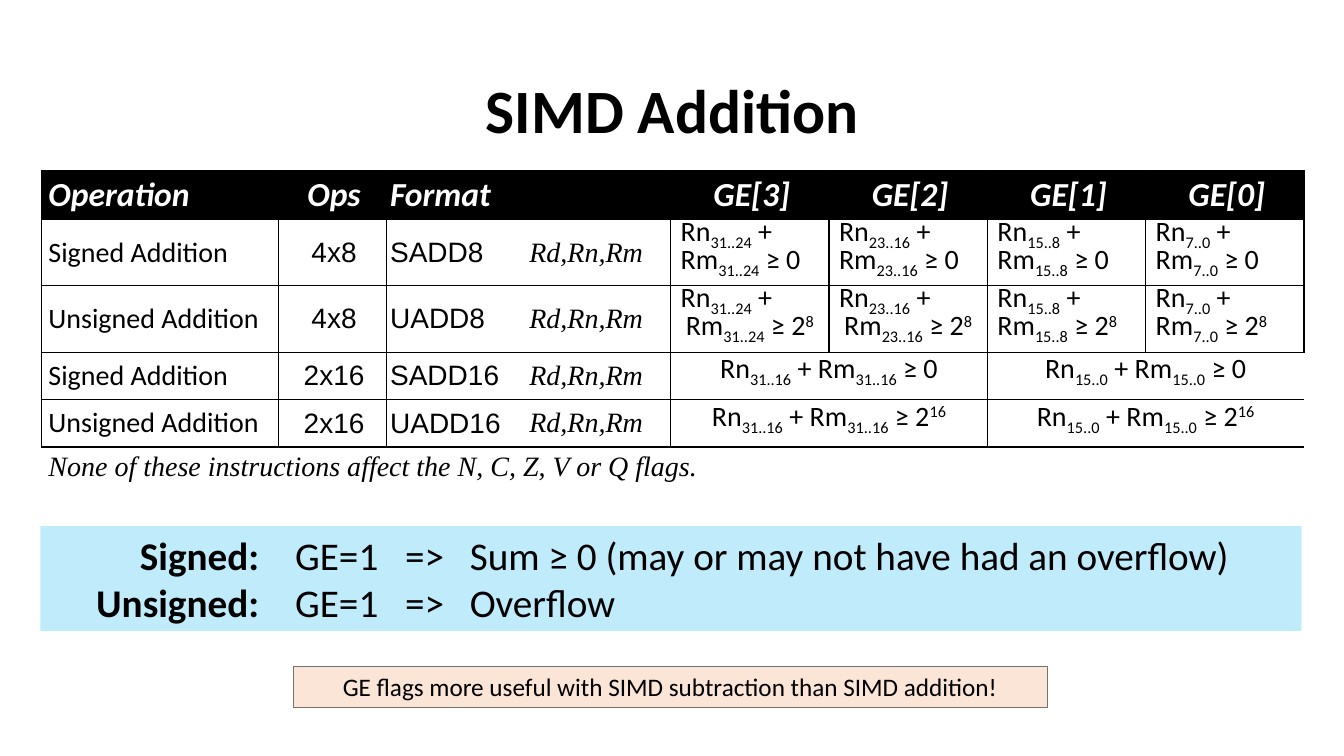
from dataclasses import dataclass

from lxml.etree import SubElement
from pptx import Presentation
from pptx.dml.color import RGBColor as RGB
from pptx.enum.shapes import MSO_SHAPE as SHAPE
from pptx.enum.text import MSO_ANCHOR as ANCHOR, PP_ALIGN as ALIGN
from pptx.oxml import parse_xml
from pptx.oxml.ns import nsdecls, qn
from pptx.util import Cm, Pt


@dataclass(frozen=True)
class Theme:
    black: RGB = RGB(0x00, 0x00, 0x00)
    white: RGB = RGB(0xFF, 0xFF, 0xFF)
    blue: RGB = RGB(0x00, 0xB0, 0xF0)
    peach: RGB = RGB(0xFB, 0xE5, 0xD6)
    grey: RGB = RGB(0x76, 0x71, 0x71)
    body: str = "Calibri"
    code: str = "Arial"
    operand: str = "Times New Roman"
    title: int = 44
    rule: int = 28
    header: int = 24
    cell: int = 20
    note: int = 18


T = Theme()


def style(p, size, font=T.body, color=T.black, bold=False, italic=False):
    for r in p.runs:
        f = r.font
        f.size, f.name, f.bold, f.italic = Pt(size), font, bold, italic
        f.color.rgb = color


def write_condition(p, markup):
    for part in markup.split("|"):
        r = p.add_run()
        r.text = part.lstrip("_^")
        if part[0] in "_^":
            r.font._element.set("baseline", "-25000" if part[0] == "_" else "30000")
    p.line_spacing = Pt(20)
    style(p, T.cell)


prs = Presentation()
prs.slide_width, prs.slide_height = Cm(33.87), Cm(19.05)
slide = prs.slides.add_slide(prs.slide_layouts[5])

title = slide.shapes.title
title.left, title.top, title.width, title.height = Cm(2.34), Cm(1.02), Cm(29.21), Cm(3.68)
title.text_frame.text = "SIMD Addition"
title.text_frame.vertical_anchor = ANCHOR.MIDDLE
p = title.text_frame.paragraphs[0]
p.alignment, p.line_spacing = ALIGN.CENTER, 0.9
style(p, T.title, bold=True)

col_widths = [5.97, 2.72, 3.61, 3.56] + [3.99] * 4
row_heights = [1.2, 1.68, 1.68, 1.19, 1.19, 1.42]
frame = slide.shapes.add_table(len(row_heights), len(col_widths), Cm(1.04), Cm(4.29),
                               Cm(sum(col_widths)), Cm(sum(row_heights)))
table = frame.table
table.first_row = table.horz_banding = False
for col, width in zip(table.columns, col_widths):
    col.width = Cm(width)
for row, height in zip(table.rows, row_heights):
    row.height = Cm(height)

table.cell(0, 2).merge(table.cell(0, 3))
table.cell(5, 0).merge(table.cell(5, 7))
for r in (3, 4):
    for c in (4, 6):
        table.cell(r, c).merge(table.cell(r, c + 1))

headers = ["Operation", "Ops", "Format", "", "GE[3]", "GE[2]", "GE[1]", "GE[0]"]
for c, text in enumerate(headers):
    cell = table.cell(0, c)
    if text:
        cell.text_frame.text = text
        p = cell.text_frame.paragraphs[0]
        p.alignment = ALIGN.LEFT if c in (0, 2) else ALIGN.CENTER
        style(p, T.header, color=T.white, bold=True, italic=True)

operations = [
    ("Signed Addition", "4x8", "SADD8", "≥ 0"),
    ("Unsigned Addition", "4x8", "UADD8", "≥ 2|^8"),
    ("Signed Addition", "2x16", "SADD16", "≥ 0"),
    ("Unsigned Addition", "2x16", "UADD16", "≥ 2|^16"),
]
byte_fields = ["31..24", "23..16", "15..8", "7..0"]
half_fields = ["31..16", "15..0"]
cell_fonts = [T.body, T.code, T.code, T.operand]
for r, (name, ops, mnemonic, limit) in enumerate(operations, 1):
    for c, text in enumerate([name, ops, mnemonic, "Rd,Rn,Rm"]):
        tf = table.cell(r, c).text_frame
        tf.text = text
        p = tf.paragraphs[0]
        p.alignment = ALIGN.CENTER if c == 1 else ALIGN.LEFT
        style(p, T.cell, cell_fonts[c], italic=c == 3)
    if ops == "4x8":
        for c, bits in enumerate(byte_fields, 4):
            tf = table.cell(r, c).text_frame
            write_condition(tf.paragraphs[0], f"Rn|_{bits}| +")
            p = tf.add_paragraph()
            write_condition(p, f"Rm|_{bits}| {limit}")
            if r == 2 and c < 6:
                p.alignment = ALIGN.CENTER
    else:
        for c, bits in zip((4, 6), half_fields):
            p = table.cell(r, c).text_frame.paragraphs[0]
            write_condition(p, f"Rn|_{bits}| + Rm|_{bits}| {limit}")
            p.alignment = ALIGN.CENTER

footnote = table.cell(5, 0).text_frame
footnote.text = "None of these instructions affect the N, C, Z, V or Q flags."
style(footnote.paragraphs[0], T.cell, T.operand, italic=True)

joined = {(r, c) for r in range(6) for c in range(8)
          if table.cell(r, c).is_spanned or 0 < r < 5 and c == 3}
for r in range(6):
    for c in range(8):
        cell = table.cell(r, c)
        cell.vertical_anchor = ANCHOR.TOP if r == 5 else ANCHOR.MIDDLE
        if c == 0:
            cell.margin_left = cell.margin_right = Cm(0.18)
        elif c < 4 or r == 0:
            cell.margin_left, cell.margin_right = Cm(0 if c == 3 else 0.1), Cm(0)
        if c < 4 or r in (0, 5):
            cell.margin_top = cell.margin_bottom = Cm(0.1)
        if r == 0:
            cell.fill.solid()
            cell.fill.fore_color.rgb = T.black
        else:
            cell.fill.background()
        borders = {"lnL": r < 5 and (r, c) not in joined,
                   "lnR": r < 5 and (r, c + 1) not in joined,
                   "lnT": True, "lnB": r < 5}
        for i, (side, drawn) in enumerate(borders.items()):
            paint = f'<a:solidFill><a:srgbClr val="{T.black}"/></a:solidFill>' if drawn else "<a:noFill/>"
            line = parse_xml(f'<a:{side} {nsdecls("a")} w="{Pt(1)}">{paint}</a:{side}>')
            cell._tc.get_or_add_tcPr().insert(i, line)

rules = slide.shapes.add_shape(SHAPE.RECTANGLE, Cm(1.02), Cm(13.26), Cm(31.78), Cm(2.64))
rules.shadow.inherit = False
rules.fill.solid()
rules.fill.fore_color.rgb = T.blue
tint = rules.fill._xPr.find(qn("a:solidFill"))[0]
SubElement(tint, qn("a:alpha")).set("val", "25000")
rules.line.fill.background()
tf = rules.text_frame
tf.word_wrap = True
tf.vertical_anchor = ANCHOR.TOP
meanings = [("Signed:", "Sum ≥ 0 (may or may not have had an overflow)"),
            ("Unsigned:", "Overflow")]
for i, (kind, meaning) in enumerate(meanings):
    p = tf.add_paragraph() if i else tf.paragraphs[0]
    p.text = f"\t{kind}\t"
    p.add_run().text = f"GE=1\t=>\t{meaning}"
    p.alignment = ALIGN.LEFT
    style(p, T.rule)
    p.runs[0].font.bold = True
    tabs = SubElement(p._p.get_or_add_pPr(), qn("a:tabLst"))
    for pos, align in ((5.26, "r"), (6.17, "l"), (8.94, "l"), (10.57, "l")):
        tab = SubElement(tabs, qn("a:tab"))
        tab.set("pos", str(Cm(pos)))
        tab.set("algn", align)

note = slide.shapes.add_shape(SHAPE.RECTANGLE, Cm(7.39), Cm(16.79), Cm(19), Cm(1.03))
note.shadow.inherit = False
note.fill.solid()
note.fill.fore_color.rgb = T.peach
note.line.color.rgb = T.grey
note.line.width = Pt(0.75)
tf = note.text_frame
tf.word_wrap = True
tf.text = "GE flags more useful with SIMD subtraction than SIMD addition!"
tf.paragraphs[0].alignment = ALIGN.CENTER
style(tf.paragraphs[0], T.note)

prs.save("out.pptx")
